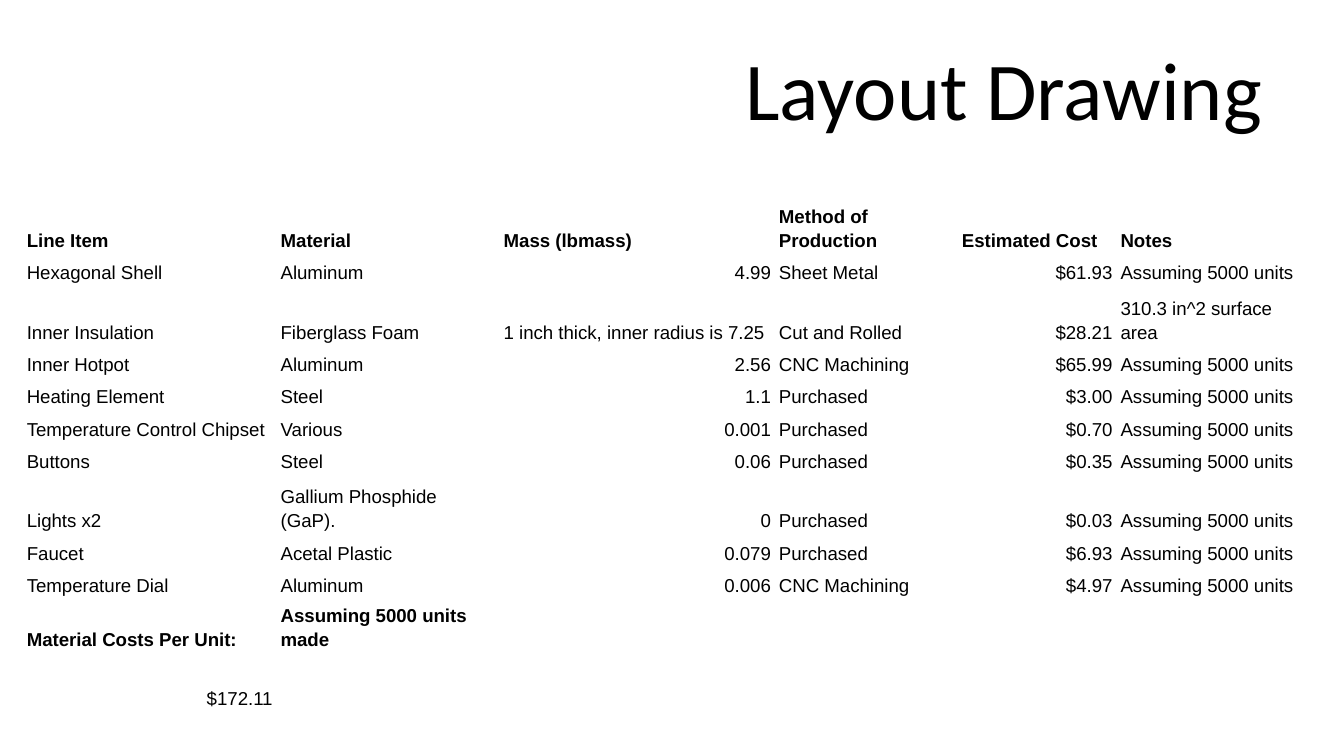
"""Build the Layout Drawing slide with its table of parts and costs."""
from pptx import Presentation
from pptx.dml.color import RGBColor
from pptx.enum.text import MSO_ANCHOR, PP_ALIGN
from pptx.util import Pt

LEFT, RIGHT = PP_ALIGN.LEFT, PP_ALIGN.RIGHT
MIDDLE, BOTTOM = MSO_ANCHOR.MIDDLE, MSO_ANCHOR.BOTTOM

THEME = {
    "ink": RGBColor(0, 0, 0),
    "title": ("Calibri", 44),
    "cell": ("Arial", 10),
}

UNITS = "Assuming 5000 units"
PARTS = [
    ("Line Item", "Material", "Mass (lbmass)", "Method of Production", "Estimated Cost", "Notes"),
    ("Hexagonal Shell", "Aluminum", "4.99", "Sheet Metal", "$61.93", UNITS),
    ("Inner Insulation", "Fiberglass Foam", "1 inch thick, inner radius is 7.25",
     "Cut and Rolled", "$28.21", "310.3 in^2 surface area"),
    ("Inner Hotpot", "Aluminum", "2.56", "CNC Machining", "$65.99", UNITS),
    ("Heating Element", "Steel", "1.1", "Purchased", "$3.00", UNITS),
    ("Temperature Control Chipset", "Various", "0.001", "Purchased", "$0.70", UNITS),
    ("Buttons", "Steel", "0.06", "Purchased", "$0.35", UNITS),
    ("Lights x2", "Gallium Phosphide (GaP).", "0", "Purchased", "$0.03", UNITS),
    ("Faucet", "Acetal Plastic", "0.079", "Purchased", "$6.93", UNITS),
    ("Temperature Dial", "Aluminum", "0.006", "CNC Machining", "$4.97", UNITS),
    ("Material Costs Per Unit:", "Assuming 5000 units made", "", "", "", ""),
    ("$172.11", "", "", "", "", ""),
]
BOLD = (0, 10)
WIDTHS = (136, 119.5, 147.5, 98, 85, 106.5)
SHORT, TALL = 17.4, 31.7
HEIGHTS = {0: TALL, 2: TALL, 7: TALL, 10: 21, 11: TALL}


def style(para, role, align, bold=False):
    para.alignment = align
    for run in para.runs:
        run.font.name, size = THEME[role]
        run.font.size = Pt(size)
        run.font.bold = bold
        run.font.color.rgb = THEME["ink"]


deck = Presentation()
deck.slide_width, deck.slide_height = Pt(720), Pt(405)
slide = deck.slides.add_slide(deck.slide_layouts[5])

title = slide.shapes.title
title.left, title.top, title.width, title.height = Pt(47.5), Pt(13.5), Pt(636), Pt(67)
title.text_frame.text = "Layout Drawing"
title.text_frame.vertical_anchor = MIDDLE
style(title.text_frame.paragraphs[0], "title", RIGHT)

tall = [HEIGHTS.get(i, SHORT) for i in range(len(PARTS))]
frame = slide.shapes.add_table(len(PARTS), len(WIDTHS), Pt(12.2), Pt(104.5),
                               Pt(sum(WIDTHS)), Pt(sum(tall)))
table = frame.table
table.first_row = table.horz_banding = False
for column, width in zip(table.columns, WIDTHS):
    column.width = Pt(width)

for i, part in enumerate(PARTS):
    table.rows[i].height = Pt(tall[i])
    for j, text in enumerate(part):
        cell = table.cell(i, j)
        cell.fill.background()
        cell.vertical_anchor = BOTTOM
        cell.margin_left = cell.margin_right = Pt(2.2)
        cell.margin_top = cell.margin_bottom = Pt(1.5)
        cell.text_frame.text = text
        para = cell.text_frame.paragraphs[0]
        para.line_spacing = 1.15
        number = text.strip("$").replace(".", "").isdigit()
        style(para, "cell", RIGHT if number else LEFT, i in BOLD)

deck.save("out.pptx")
